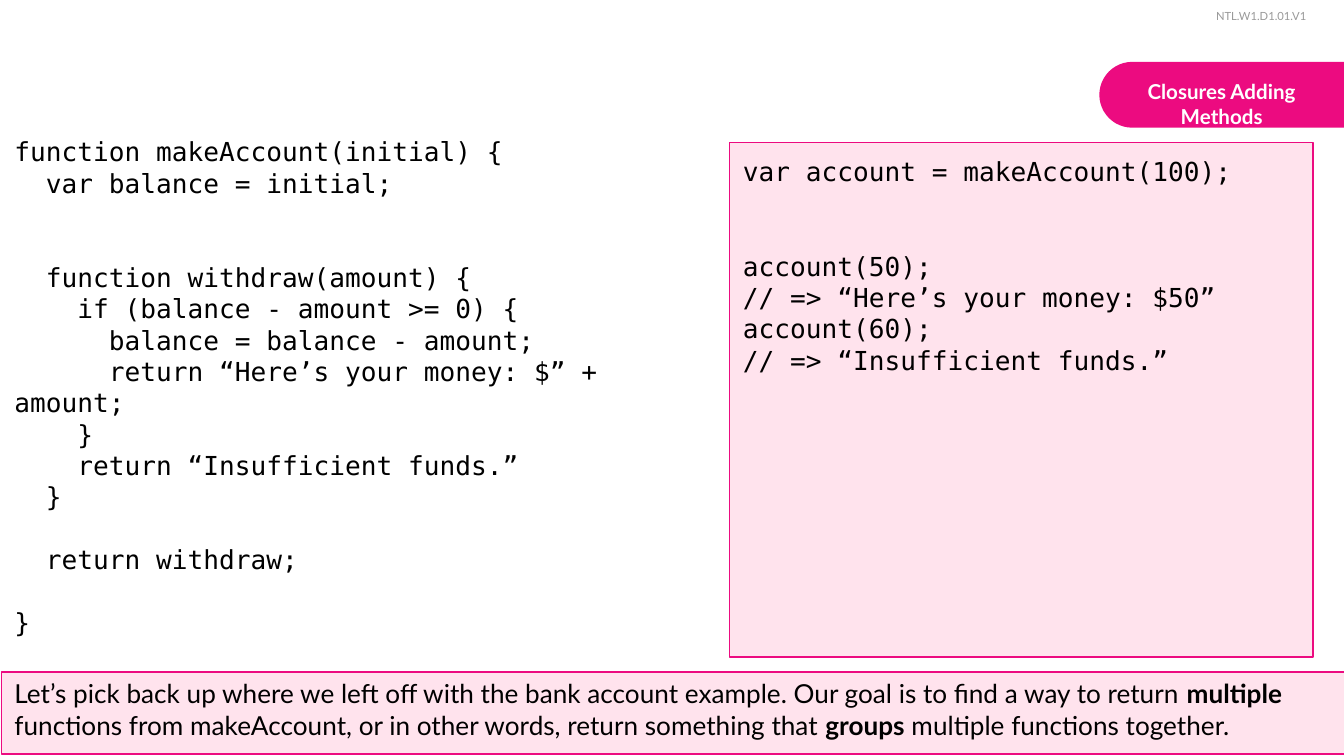
from lxml.etree import SubElement
from pptx import Presentation
from pptx.dml.color import RGBColor
from pptx.enum.shapes import MSO_SHAPE
from pptx.enum.text import MSO_ANCHOR, MSO_AUTO_SIZE, PP_ALIGN
from pptx.oxml.ns import qn
from pptx.util import Inches, Pt

COLORS = {"pink": "EC0B80", "tint": "FF7CAD", "black": "000000",
          "white": "FFFFFF", "gray": "999999"}
SANS, MONO = "Lato", "DejaVu Sans Mono"
LINE = 16.8  # height of a code line in points
WIDTH = 10

# Each code line: blank lines above it, text
MAKER = [
    (0, "function makeAccount(initial) {"),
    (0, "  var balance = initial;"),
    (2, "  function withdraw(amount) {"),
    (0, "    if (balance - amount >= 0) {"),
    (0, "      balance = balance - amount;"),
    (0, "      return “Here’s your money: $” + amount;"),
    (0, "    }"),
    (0, "    return “Insufficient funds.”"),
    (0, "  }"),
    (1, "  return withdraw;"),
    (1, "}"),
]
USAGE = [
    (0, "var account = makeAccount(100);"),
    (2, "account(50);"),
    (0, "// => “Here’s your money: $50”"),
    (0, "account(60);"),
    (0, "// => “Insufficient funds.”"),
]
GOAL = [
    ("Let’s pick back up where we left off with the bank account example. "
     "Our goal is to find a way to return ", False),
    ("multiple", True),
    (" functions from makeAccount, or in other words, "
     "return something that ", False),
    ("groups", True),
    (" multiple functions together.", False),
]


def color(name):
    return RGBColor.from_string(COLORS[name])


def set_frame(shape, anchor=MSO_ANCHOR.TOP, fit=MSO_AUTO_SIZE.NONE):
    """Give a shape's text even insets, wrapping, an anchor and a fit."""
    frame = shape.text_frame
    frame.word_wrap = True
    frame.auto_size = fit
    frame.vertical_anchor = anchor
    frame.margin_left = frame.margin_right = Inches(0.1)
    frame.margin_top = frame.margin_bottom = Inches(0.1)
    return frame


def add_run(para, text, size, font=SANS, tone="black", bold=False):
    run = para.add_run()
    run.text = text
    run.font.size = Pt(size)
    run.font.name = font
    run.font.bold = bold
    run.font.color.rgb = color(tone)


def add_box(slide, *place):
    return slide.shapes.add_textbox(*map(Inches, place))


def add_panel(slide, *place):
    """Add a pale pink rectangle with a pink outline."""
    panel = slide.shapes.add_shape(MSO_SHAPE.RECTANGLE, *map(Inches, place))
    panel.shadow.inherit = False
    panel.fill.solid()
    panel.fill.fore_color.rgb = color("tint")
    tint = panel.element.spPr.find(qn("a:solidFill"))[0]
    SubElement(tint, qn("a:alpha"), val="21000")
    panel.line.color.rgb = color("pink")
    panel.line.width = Pt(0.75)
    return panel


def add_code(shape, lines):
    frame = set_frame(shape)
    for i, (gap, text) in enumerate(lines):
        para = frame.add_paragraph() if i else frame.paragraphs[0]
        para.alignment = PP_ALIGN.LEFT
        para.line_spacing = Pt(LINE)
        para.space_before = Pt(gap * LINE)
        add_run(para, text, 14, MONO)


def add_title(slide):
    """Place the title on a pink tab at the right edge."""
    title = slide.shapes.title
    title.left, title.top = Inches(8.13), Inches(0.49)
    title.width, title.height = Inches(1.92), Inches(0.39)
    para = set_frame(title).paragraphs[0]
    para.alignment = PP_ALIGN.CENTER
    add_run(para, "Closures Adding Methods", 11, tone="white", bold=True)

    tab = slide.shapes.add_shape(
        MSO_SHAPE.ROUND_2_SAME_RECTANGLE,
        Inches(8.85), Inches(-0.21), Inches(0.49), Inches(1.83))
    tab.rotation = 270
    tab.adjustments[0] = 0.5
    tab.shadow.inherit = False
    tab.fill.solid()
    tab.fill.fore_color.rgb = color("pink")
    tab.line.fill.background()
    title.element.addprevious(tab.element)


def add_label(slide):
    box = add_box(slide, 8.95, 0, 0.97, 0.3)
    frame = set_frame(box, fit=MSO_AUTO_SIZE.SHAPE_TO_FIT_TEXT)
    para = frame.paragraphs[0]
    para.line_spacing = 1.15
    add_run(para, "NTL.W1.D1.01.V1", 6, tone="gray")


def add_goal(slide):
    panel = add_panel(slide, 0.01, 5, 10, 0.61)
    para = set_frame(panel, MSO_ANCHOR.BOTTOM).paragraphs[0]
    para.alignment = PP_ALIGN.LEFT
    for text, bold in GOAL:
        add_run(para, text, 14, bold=bold)


def main():
    deck = Presentation()
    deck.slide_width = Inches(WIDTH)
    deck.slide_height = Inches(WIDTH * 9 / 16)
    slide = deck.slides.add_slide(deck.slide_layouts[5])
    add_title(slide)
    add_label(slide)
    add_goal(slide)
    add_code(add_panel(slide, 5.43, 1.06, 4.34, 3.83), USAGE)
    add_code(add_box(slide, 0.01, 0.91, 5.43, 3.97), MAKER)
    deck.save("out.pptx")


if __name__ == "__main__":
    main()
